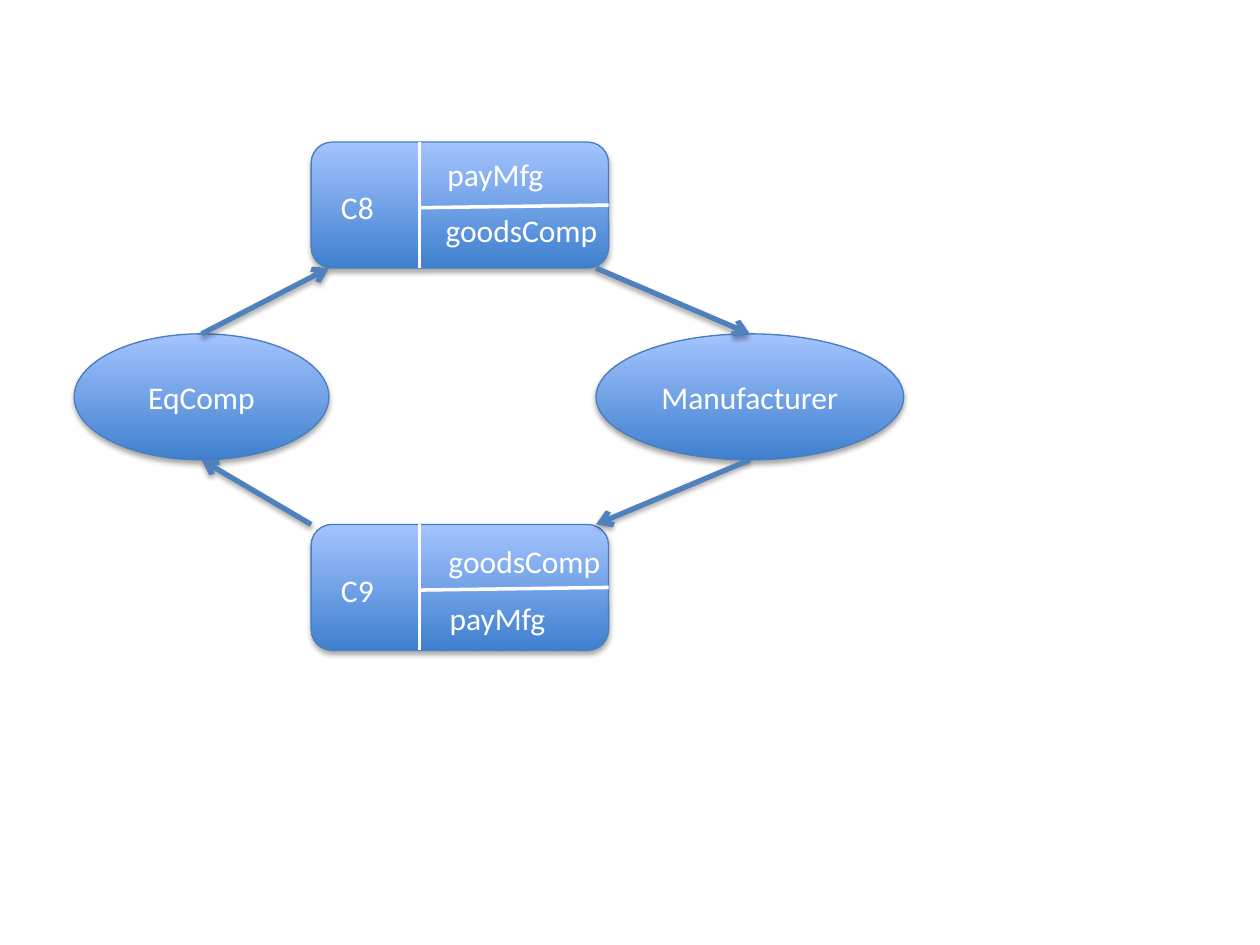
import pptx
import pptx.dml.color
import pptx.enum.shapes
import pptx.enum.text
import pptx.oxml
import pptx.oxml.ns
import pptx.util
import lxml.etree

Pt = pptx.util.Pt
SHAPE = pptx.enum.shapes.MSO_SHAPE
NAMESPACE = pptx.oxml.ns.nsdecls("a")
SHADOW = (
    f'<a:outerShdw {NAMESPACE} blurRad="{Pt(3.1)}" dist="{Pt(1.8)}" dir="5400000" rotWithShape="0">'
    '<a:srgbClr val="000000"><a:alpha val="35000"/></a:srgbClr></a:outerShdw>'
)


def color(value):
    return pptx.dml.color.RGBColor.from_string(value)


class Diagram:
    font, size, text_color = "Calibri", 18, "FFFFFF"
    dark, light, outline = "3F80CE", "A4C4FF", "4B7EBC"
    arrow_color, divider_color = "4F81BD", "FFFFFF"

    def __init__(self, slide):
        self.slide = slide

    def set_text(self, shape, text):
        shape.text_frame.text = text
        paragraph = shape.text_frame.paragraphs[0]
        for run in paragraph.runs:
            run.font.name = self.font
            run.font.size = Pt(self.size)
            run.font.color.rgb = color(self.text_color)
        return paragraph

    def box(self, shapes, kind, left, top, width, height):
        shape = shapes.add_shape(kind, Pt(left), Pt(top), Pt(width), Pt(height))
        shape.fill.gradient()
        shape.fill.gradient_angle = 90
        for stop, value in zip(shape.fill.gradient_stops, (self.dark, self.light)):
            stop.color.rgb = color(value)
        shape.line.color.rgb = color(self.outline)
        shape.line.width = Pt(0.75)
        shape.shadow.inherit = False
        effects = shape._element.spPr.find(pptx.oxml.ns.qn("a:effectLst"))
        effects.append(pptx.oxml.parse_xml(SHADOW))
        return shape

    def party(self, name, left, top, width, height):
        shape = self.box(self.slide.shapes, SHAPE.OVAL, left, top, width, height)
        paragraph = self.set_text(shape, name)
        paragraph.alignment = pptx.enum.text.PP_ALIGN.CENTER
        shape.text_frame.vertical_anchor = pptx.enum.text.MSO_ANCHOR.MIDDLE

    def line(self, shapes, start, end, value, width):
        connector = shapes.add_connector(
            pptx.enum.shapes.MSO_CONNECTOR.STRAIGHT, *(Pt(number) for number in start + end))
        connector.line.color.rgb = color(value)
        connector.line.width = Pt(width)
        properties = connector._element.spPr
        effects = lxml.etree.SubElement(properties, pptx.oxml.ns.qn("a:effectLst"))
        return properties, effects

    def arrow(self, start, end):
        properties, effects = self.line(self.slide.shapes, start, end, self.arrow_color, 3)
        effects.append(pptx.oxml.parse_xml(SHADOW))
        properties.find(pptx.oxml.ns.qn("a:ln")).append(
            pptx.oxml.parse_xml(f'<a:tailEnd {NAMESPACE} type="arrow"/>'))

    def label(self, shapes, text, left, top, width):
        shape = shapes.add_textbox(Pt(left), Pt(top), Pt(width), Pt(29))
        self.set_text(shape, text)
        shape.text_frame.word_wrap = False
        shape.text_frame.auto_size = pptx.enum.text.MSO_AUTO_SIZE.SHAPE_TO_FIT_TEXT

    def commitment(self, left, top, width, height, labels):
        shapes = self.slide.shapes.add_group_shape().shapes
        self.box(shapes, SHAPE.ROUNDED_RECTANGLE, left, top, width, height)
        divider, middle = left + 62, top + height / 2
        self.line(shapes, (divider, top), (divider, top + height), self.divider_color, 2)
        self.line(shapes, (left + width, middle), (divider, middle + 1.5),
                  self.divider_color, 2)
        for text, x, y, label_width in labels:
            self.label(shapes, text, left + x, top + y, label_width)


presentation = pptx.Presentation()
presentation.slide_width, presentation.slide_height = Pt(720), Pt(540)
diagram = Diagram(presentation.slides.add_slide(presentation.slide_layouts[6]))

# Shared positions
height = 72
party_top, upper_top, lower_top = 190.8, 81.2, 299.7
party_bottom, upper_bottom = party_top + height, upper_top + height
card_left, card_width = 177.8, 170
company_left, company_width = 42.4, 145.6
maker_left, maker_width = 340.6, 175.8
company_center = company_left + company_width / 2
maker_center = maker_left + maker_width / 2

# Parties
diagram.party("EqComp", company_left, party_top, company_width, height)
diagram.party("Manufacturer", maker_left, party_top, maker_width, height)

# Commitments, with label offsets from the card corner
diagram.commitment(card_left, upper_top, card_width, height, [
    ("C8", 10, 22.8, 33.5), ("payMfg", 70.8, 3.7, 70.6), ("goodsComp", 69.7, 36, 102.2)])
diagram.commitment(card_left, lower_top, card_width, height, [
    ("C9", 10, 22.8, 33.5), ("payMfg", 72, 38.8, 70.6), ("goodsComp", 71.4, 6.2, 102.2)])

# Arrows around the cycle
for start, end in [
    ((company_center, party_top), (company_left + company_width, upper_bottom)),
    ((maker_left, upper_bottom), (maker_center, party_top)),
    ((maker_center, party_bottom), (maker_left, lower_top)),
    ((card_left, lower_top), (company_center, party_bottom)),
]:
    diagram.arrow(start, end)

presentation.save("out.pptx")
